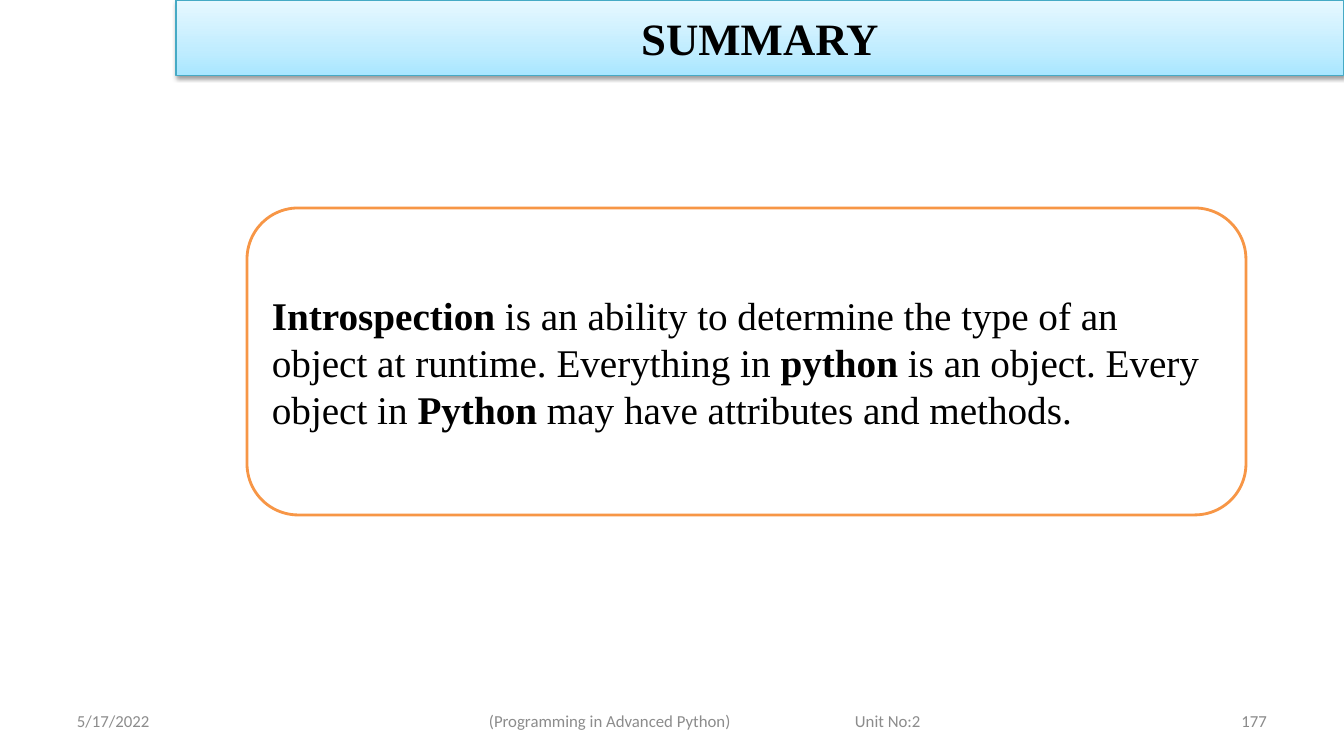
import copy
import pptx
import pptx.dml.color
import pptx.enum.shapes
import pptx.enum.text
import pptx.oxml
import pptx.oxml.ns
import pptx.util

RGB = pptx.dml.color.RGBColor
BLACK = RGB(0x00, 0x00, 0x00)
WHITE = RGB(0xFF, 0xFF, 0xFF)
GREY = RGB(0x8C, 0x8C, 0x8C)
PAGE = RGB(0x89, 0x89, 0x89)
TEAL = RGB(0x46, 0xAA, 0xC5)
ORANGE = RGB(0xF7, 0x96, 0x46)
BLUES = [(0, RGB(0xA7, 0xE6, 0xFF)), (0.35, RGB(0xC1, 0xED, 0xFF)), (1, RGB(0xE7, 0xF8, 0xFF))]
ALIGN = pptx.enum.text.PP_ALIGN
NS = pptx.oxml.ns.nsdecls("a")
SHADOW = (
    f'<a:effectLst {NS}><a:outerShdw blurRad="39370" dist="20320" dir="5400000" rotWithShape="0">'
    '<a:srgbClr val="000000"><a:alpha val="38000"/></a:srgbClr></a:outerShdw></a:effectLst>'
)


def px(num):
    return pptx.util.Emu(round(num * 914400 / 100.8))


def put(item, form):
    for key, val in form.items():
        setattr(item, key, val)


class Deck:
    head = {"name": "Times New Roman", "size": pptx.util.Pt(32), "bold": True}
    body = {"name": "Times New Roman", "size": pptx.util.Pt(28)}
    foot = {"name": "Calibri", "size": pptx.util.Pt(12)}
    frame = {
        "word_wrap": True,
        "auto_size": pptx.enum.text.MSO_AUTO_SIZE.NONE,
        "vertical_anchor": pptx.enum.text.MSO_ANCHOR.MIDDLE,
    }

    def __init__(self):
        self.show = pptx.Presentation()
        put(self.show, {"slide_width": px(1344), "slide_height": px(756)})
        self.slide = self.show.slides.add_slide(self.show.slide_layouts[5])

    def label(self, shape, runs, form, color, align):
        put(shape.text_frame, self.frame)
        para = shape.text_frame.paragraphs[0]
        para.alignment = align
        for text, more in runs:
            run = para.add_run()
            run.text = text
            put(run.font, {**form, **more})
            run.font.color.rgb = color
        return para

    def edge(self, shape, color, width):
        shape.line.color.rgb = color
        shape.line.width = pptx.util.Pt(width)

    def title(self, text, box):
        shape = self.slide.shapes.title
        put(shape, dict(zip(("left", "top", "width", "height"), map(px, box))))
        shape.fill.gradient()
        shape.fill.gradient_angle = 90
        first = shape.element.xpath(".//a:gs")[0]
        first.addnext(copy.deepcopy(first))
        for stop, (place, color) in zip(shape.fill.gradient_stops, BLUES):
            stop.position = place
            stop.color.rgb = color
        self.edge(shape, TEAL, 0.75)
        shape.element.spPr.append(pptx.oxml.parse_xml(SHADOW))
        self.label(shape, [(text, {})], self.head, BLACK, ALIGN.CENTER)

    def panel(self, runs, box):
        kind = pptx.enum.shapes.MSO_SHAPE.ROUNDED_RECTANGLE
        shape = self.slide.shapes.add_shape(kind, *map(px, box))
        shape.shadow.inherit = False
        shape.fill.solid()
        shape.fill.fore_color.rgb = WHITE
        self.edge(shape, ORANGE, 2)
        self.label(shape, runs, self.body, BLACK, ALIGN.LEFT)

    def note(self, text, box, color=GREY, align=ALIGN.LEFT, inset=10, tab=None):
        shape = self.slide.shapes.add_textbox(*map(px, box))
        shape.text_frame.margin_left = px(inset)
        para = self.label(shape, [(text, {})], self.foot, color, align)
        if tab:
            tabs = f'<a:tabLst {NS}><a:tab pos="{px(tab)}" algn="l"/></a:tabLst>'
            para._p.get_or_add_pPr().append(pptx.oxml.parse_xml(tabs))


def main():
    deck = Deck()
    deck.note("5/17/2022", (67, 701, 314, 40))
    deck.note("(Programming in Advanced Python)\tUnit No:2", (328, 701, 756, 40), inset=161, tab=366)
    deck.note("177", (963, 701, 314, 40), color=PAGE, align=ALIGN.RIGHT)
    deck.title("SUMMARY", (176, 0, 1168, 76))
    bold, plain = {"bold": True}, {"bold": False}
    deck.panel(
        [
            ("Introspection", bold),
            (" is an ability to determine the type of an object at runtime. Everything in ", plain),
            ("python", bold),
            (" is an object. Every object in ", plain),
            ("Python", bold),
            (" may have attributes and methods.", plain),
        ],
        (247, 208, 999, 307),
    )
    deck.show.save("out.pptx")


if __name__ == "__main__":
    main()
